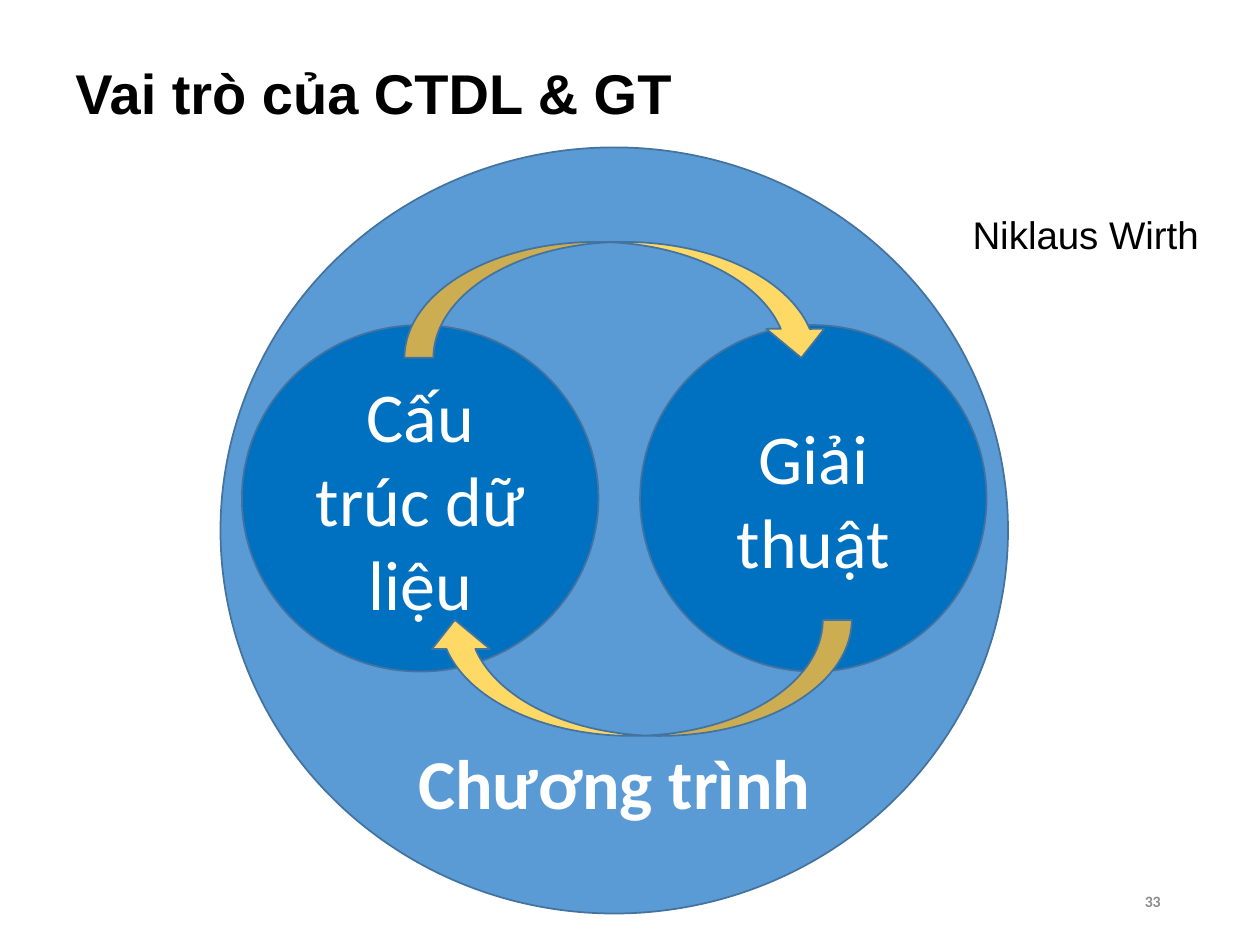
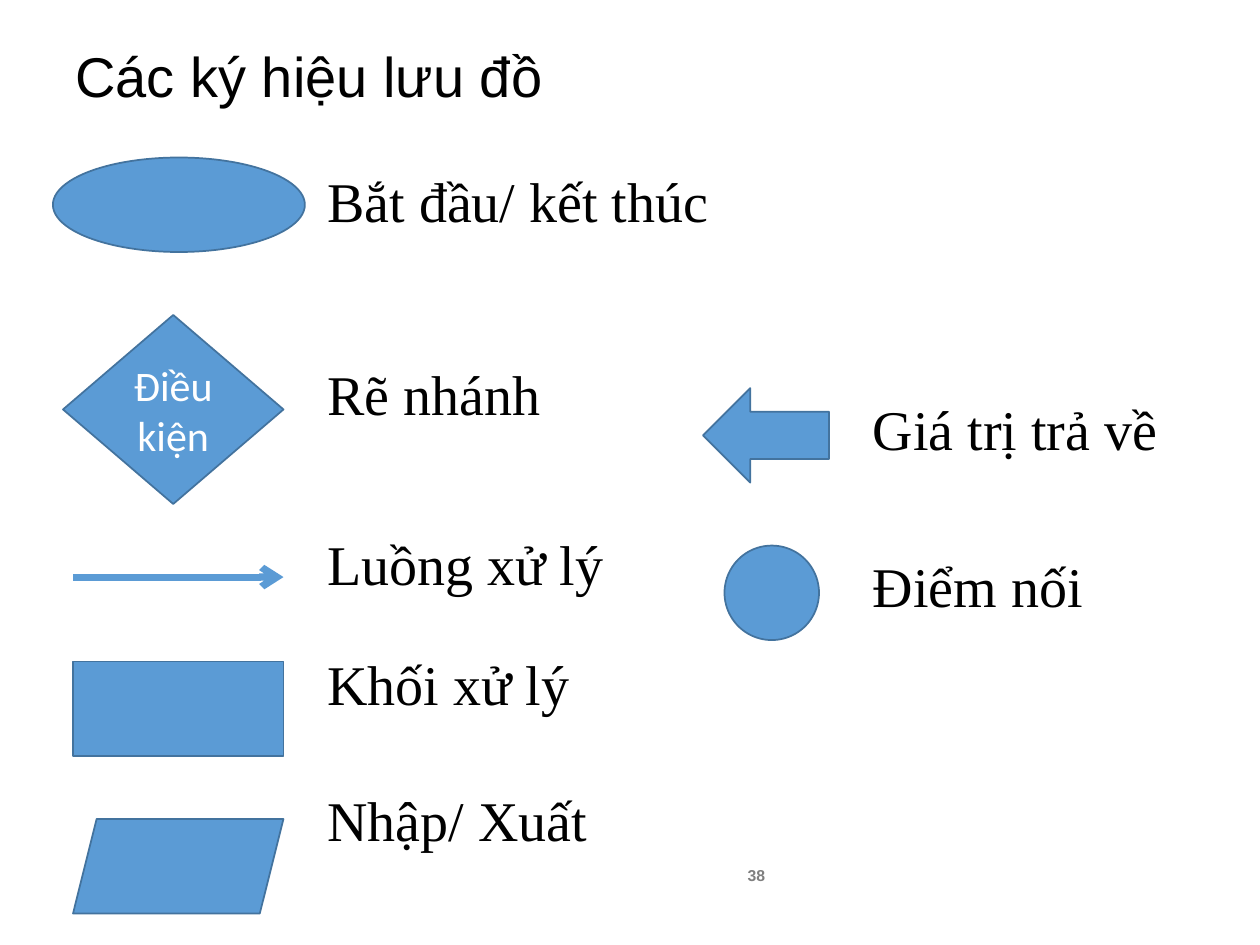
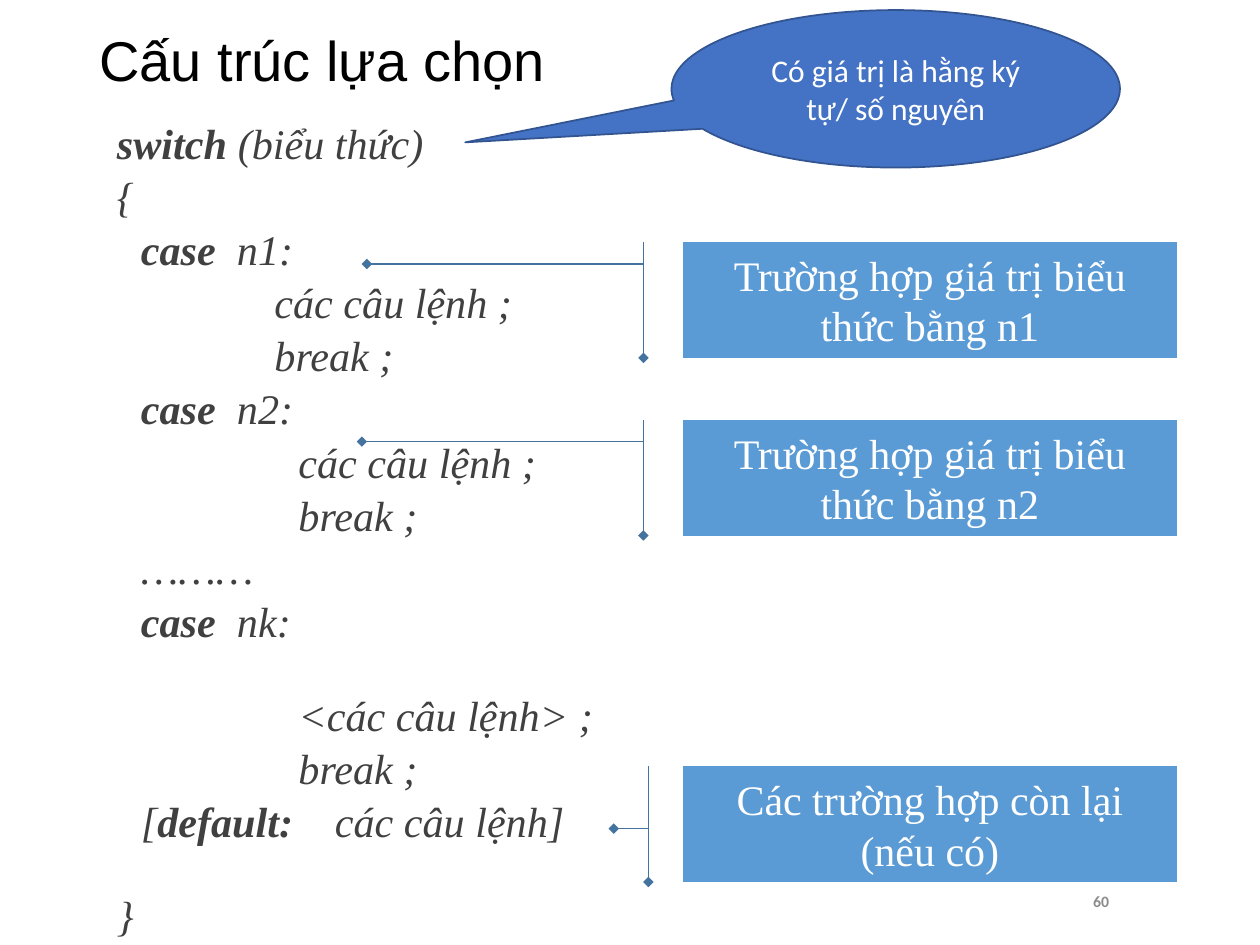
from lxml.etree import SubElement
from pptx import Presentation
from pptx.dml.color import RGBColor
from pptx.enum.shapes import MSO_CONNECTOR, MSO_SHAPE
from pptx.enum.text import MSO_ANCHOR, PP_ALIGN
from pptx.oxml.ns import qn
from pptx.util import Inches, Pt

color = RGBColor.from_string
BLUE, DEEP_BLUE, EDGE = "5B9BD5", "0070C0", "43739E"
GOLD, INDIGO, INDIGO_EDGE = "FFD966", "4472C4", "325491"
BLACK, WHITE, CODE_GRAY = "000000", "FFFFFF", "404040"
SANS, BODY, SERIF = "Arial", "Calibri", "Times New Roman"


def place(page, kind, box, fill=BLUE, edge=EDGE):
    """Add a preset shape, or a text box when kind is None."""
    lengths = [Inches(value) for value in box]
    if kind is None:
        shape = page.shapes.add_textbox(*lengths)
    else:
        shape = page.shapes.add_shape(kind, *lengths)
        shape.shadow.inherit = False
        shape.fill.solid()
        shape.fill.fore_color.rgb = color(fill)
        shape.line.color.rgb = color(edge)
        shape.line.width = Pt(1)
    shape.text_frame.word_wrap = True
    return shape


def write(shape, spans, size, font, ink, align=PP_ALIGN.LEFT,
          anchor=MSO_ANCHOR.MIDDLE, italic=False):
    """Add one paragraph made of (text, bold) spans and return it."""
    frame = shape.text_frame
    frame.vertical_anchor = anchor
    para = frame.paragraphs[0]
    if para.runs:
        para = frame.add_paragraph()
    para.alignment = align
    for text, bold in spans:
        span = para.add_run()
        span.text = text
        span.font.size = Pt(size)
        span.font.name = font
        span.font.color.rgb = color(ink)
        span.font.bold = bold
        span.font.italic = italic
    return para


deck = Presentation()
deck.slide_width, deck.slide_height = Inches(10), Inches(7.5)

# Titles and page numbers
pages = []
for title, title_bold, title_box, number, number_box, number_font, number_ink in [
    ("Vai trò của CTDL & GT", True, (0.5, 0.3, 8.17, 0.87),
     "33", (6.62, 6.95, 2.69, 0.4), BODY, "8C8C8C"),
    ("Các ký hiệu lưu đồ", False, (0.5, 0.08, 9, 1.03),
     "38", (4.17, 6.75, 2, 0.4), SANS, "7F7F7F"),
    ("Cấu trúc lựa chọn", False, (0.69, 0.08, 8.62, 0.78),
     "60", (6.21, 6.95, 2.69, 0.4), BODY, "8C8C8C"),
]:
    page = deck.slides.add_slide(deck.slide_layouts[6])
    write(place(page, None, title_box), [(title, title_bold)], 32, SANS, BLACK)
    write(place(page, None, number_box), [(number, True)], 9, number_font,
          number_ink, PP_ALIGN.RIGHT)
    pages.append(page)
role_page, symbol_page, switch_page = pages
pointers = []  # (line, end mark)

# Data structures and algorithms inside a program
place(role_page, MSO_SHAPE.OVAL, (1.75, 1.17, 6.25, 6.08))
program = place(role_page, None, (2.75, 5.81, 4.25, 0.78))
write(program, [("Chương trình", True)], 40, BODY, WHITE, PP_ALIGN.CENTER)
for text, left, width in [("Cấu trúc dữ liệu", 1.92, 2.83), ("Giải thuật", 5.08, 2.75)]:
    circle = place(role_page, MSO_SHAPE.OVAL, (left, 2.58, width, 2.75), DEEP_BLUE)
    write(circle, [(text, False)], 40, BODY, WHITE, PP_ALIGN.CENTER)
for left, top, turn in [(3.21, 1.92, 0), (3.38, 4.92, 180)]:
    arrow = place(role_page, MSO_SHAPE.CURVED_DOWN_ARROW, (left, top, 3.38, 0.92), GOLD)
    arrow.rotation = turn
author = place(role_page, None, (7.62, 1.62, 2.02, 0.47))
author.text_frame.word_wrap = False
write(author, [("Niklaus Wirth", False)], 22, SANS, BLACK)

# Flowchart symbols
for kind, box, text in [
    (MSO_SHAPE.OVAL, (0.42, 1.25, 2, 0.75), ""),
    (MSO_SHAPE.DIAMOND, (0.5, 2.5, 1.75, 1.5), "Điều kiện"),
    (MSO_SHAPE.RECTANGLE, (0.58, 5.25, 1.67, 0.75), ""),
    (MSO_SHAPE.PARALLELOGRAM, (0.58, 6.5, 1.67, 0.75), ""),
    (MSO_SHAPE.LEFT_ARROW, (5.58, 3.08, 1, 0.75), ""),
    (MSO_SHAPE.OVAL, (5.75, 4.33, 0.75, 0.75), ""),
]:
    symbol = place(symbol_page, kind, box)
    if text:
        write(symbol, [(text, False)], 24, BODY, WHITE, PP_ALIGN.CENTER)

flow = symbol_page.shapes.add_connector(
    MSO_CONNECTOR.STRAIGHT, Inches(0.58), Inches(4.58), Inches(2.25), Inches(4.58))
flow.line.color.rgb = color(BLUE)
flow.line.width = Pt(4)
SubElement(flow._element.spPr, qn("a:effectLst"))
pointers.append((flow.line, "arrow"))

for box, line_spacing, labels in [
    ((2.5, 1.33, 3.67, 5.83), 0.9,
     [("Bắt đầu/ kết thúc", 3), ("Rẽ nhánh", 76), ("Luồng xử lý", 62.7),
      ("Khối xử lý", 34), ("Nhập/ Xuất", 43)]),
    ((6.83, 3.08, 3, 2.33), 1, [("Giá trị trả về", 4), ("Điểm nối", 51.3)]),
]:
    column = place(symbol_page, None, box)
    for text, gap in labels:
        para = write(column, [(text, False)], 32, SERIF, BLACK, anchor=MSO_ANCHOR.TOP)
        para.line_spacing = line_spacing
        para.space_before = Pt(gap)

# The switch statement: left margin, first-line indent, space before, spans
STEP, DEEP, GAP, WIDE_GAP = 0.19, 1.44, 7.2, 30.5
statements, leave = [("các câu lệnh ;", False)], [("break ;", False)]
code = place(switch_page, None, (0.83, 0.96, 4.58, 6.58))
for margin, indent, gap, spans in [
    (0, 0, 3, [("switch ", True), ("(biểu thức)", False)]),
    (0, 0, GAP, [("{", False)]),
    (STEP, 0, GAP, [("case", True), ("  n1:", False)]),
    (1.25, 0, GAP, statements),
    (1.25, 0, GAP, leave),
    (STEP, 0, GAP, [("case", True), ("  n2:", False)]),
    (DEEP, 0, GAP, statements),
    (DEEP, 0, GAP, leave),
    (STEP, 0, GAP, [("………", False)]),
    (STEP, 0, GAP, [("case", True), ("  nk:", False)]),
    (DEEP, 0, WIDE_GAP, [("<các câu lệnh> ;", False)]),
    (DEEP, 0, GAP, leave),
    (1.73, STEP - 1.73, GAP,
     [("[", False), ("default:\t", True), ("các câu lệnh]", False)]),
    (0, 0, WIDE_GAP, [("}", False)]),
]:
    para = write(code, spans, 24.1, SERIF, CODE_GRAY, anchor=MSO_ANCHOR.TOP, italic=True)
    para.line_spacing = 0.8
    para.space_before = Pt(gap)
    properties = para._p.get_or_add_pPr()
    properties.set("marL", str(Inches(margin)))
    properties.set("indent", str(Inches(indent)))

for text, top, bends in [
    ("Trường hợp giá trị biểu thức bằng n1", 1.92, (0.19, -0.08, 0.19, -0.17, 0.19, -0.64)),
    ("Trường hợp giá trị biểu thức bằng n2", 3.33, (0.19, -0.08, 0.19, -0.17, 0.19, -0.65)),
    ("Các trường hợp còn lại (nếu có)", 6.08, (0.54, -0.07, 0.54, -0.1, 0.54, -0.14)),
]:
    callout = place(switch_page, MSO_SHAPE.LINE_CALLOUT_2_ACCENT_BAR, (5.42, top, 3.92, 0.92))
    for index, bend in enumerate(bends):
        callout.adjustments[index] = bend
    write(callout, [(text, False)], 24, SERIF, WHITE, PP_ALIGN.CENTER)
    pointers.append((callout.line, "diamond"))

bubble = place(switch_page, MSO_SHAPE.OVAL_CALLOUT, (5.33, 0.08, 3.56, 1.25),
               INDIGO, INDIGO_EDGE)
bubble.adjustments[0], bubble.adjustments[1] = -0.96, 0.34
write(bubble, [("Có giá trị là hằng ký tự/ số nguyên", False)], 18, BODY, WHITE,
      PP_ALIGN.CENTER)

for line, mark in pointers:
    SubElement(line._get_or_add_ln(), qn("a:tailEnd")).set("type", mark)

deck.save("out.pptx")
